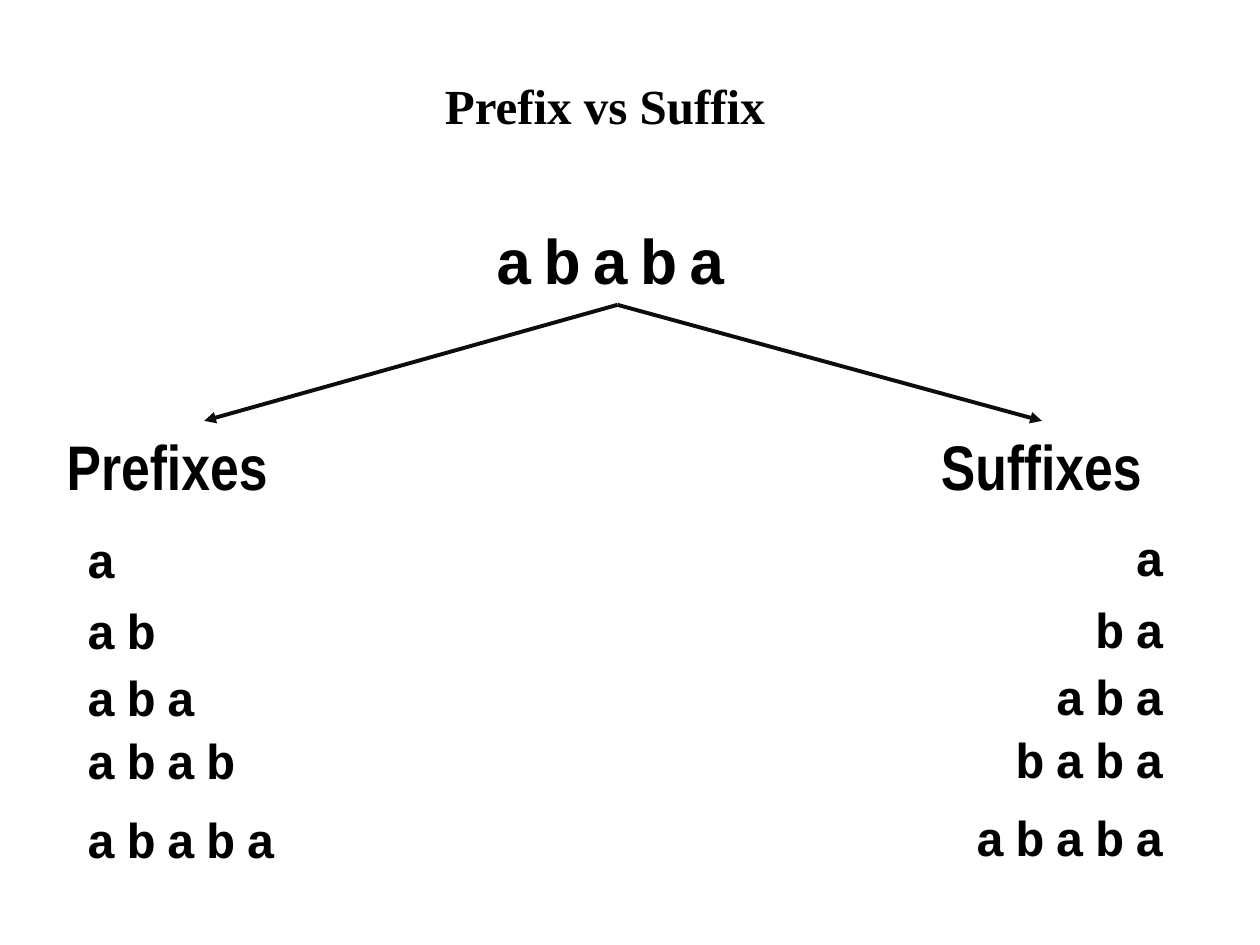
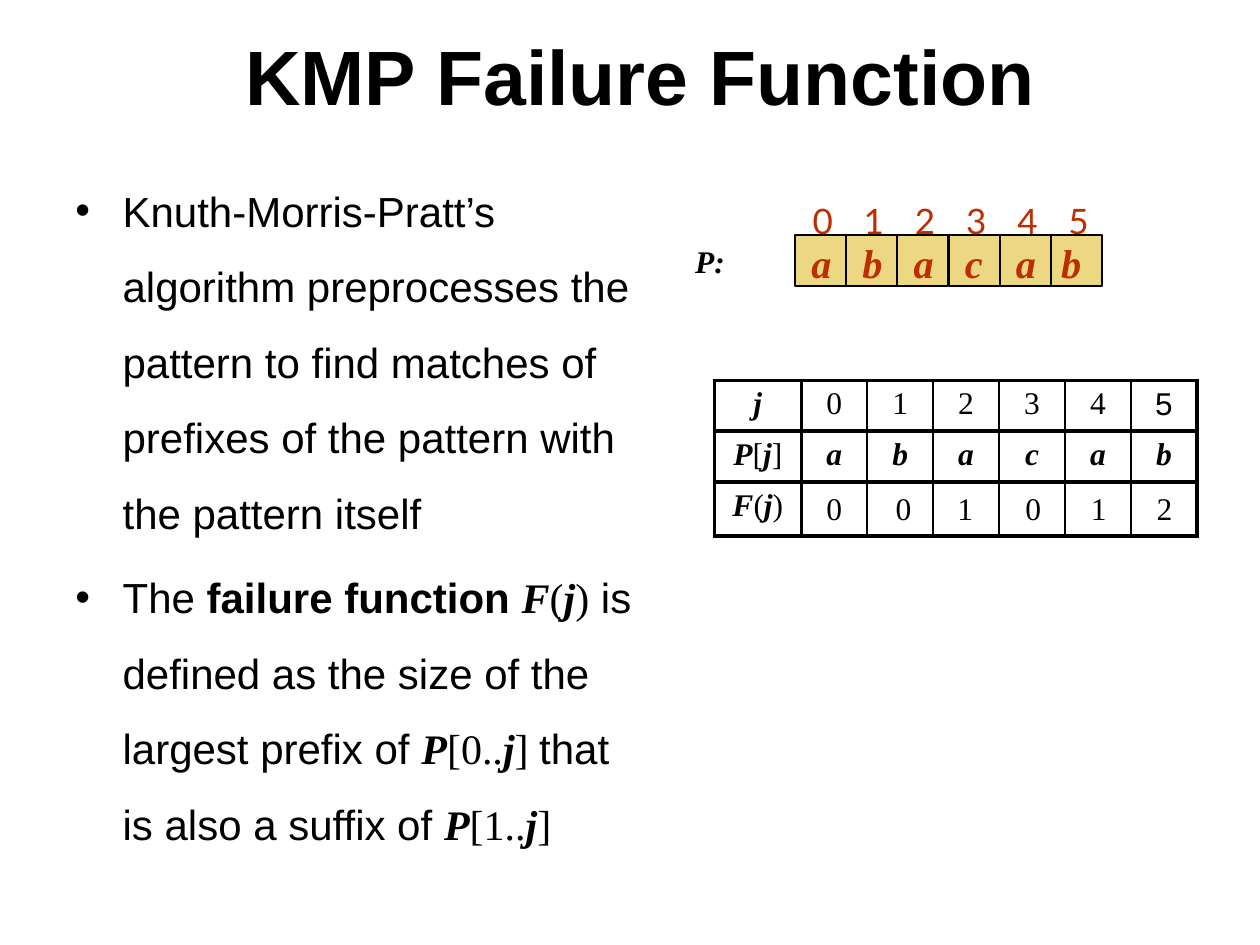
"""Build two slides on prefixes, suffixes and the KMP failure function."""
from lxml import etree
from pptx import Presentation
from pptx.dml.color import RGBColor
from pptx.enum.shapes import MSO_CONNECTOR, MSO_SHAPE
from pptx.enum.text import MSO_ANCHOR, MSO_AUTO_SIZE, PP_ALIGN
from pptx.oxml.ns import qn
from pptx.util import Pt

LEFT, CENTER, RIGHT = PP_ALIGN.LEFT, PP_ALIGN.CENTER, PP_ALIGN.RIGHT
TOP, MIDDLE = MSO_ANCHOR.TOP, MSO_ANCHOR.MIDDLE
GROW, FIXED = MSO_AUTO_SIZE.SHAPE_TO_FIT_TEXT, MSO_AUTO_SIZE.NONE
RECTANGLE, STRAIGHT = MSO_SHAPE.RECTANGLE, MSO_CONNECTOR.STRAIGHT

BLACK = RGBColor(0x00, 0x00, 0x00)
ARROW = RGBColor(0x0D, 0x0D, 0x0D)
RED = RGBColor(0xBE, 0x2D, 0x00)
SAND = RGBColor(0xEC, 0xD8, 0x82)

# (font, bold, italic)
SANS = ("Arial", False, False)
SANS_BOLD = ("Arial", True, False)
NARROW = ("Arial Narrow", True, False)
MONO = ("Courier New", True, False)
SERIF = ("Times New Roman", False, False)
SERIF_BOLD = ("Times New Roman", True, False)
MATH = ("Times New Roman", True, True)
INDEX = ("Lato", False, False)

WORD = "ababa"
SUBSTRING_ROWS = [298.8, 339.8, 378, 414, 459]
PATTERN = "abacab"
FAILURES = "001012"
FAILURE_LEFTS = [465.1, 504.7, 540, 578.9, 616.3, 653.8]

BULLETS = [
    [("Knuth-Morris-Pratt’s algorithm preprocesses the pattern to find matches "
      "of prefixes of the pattern with the pattern itself", SANS)],
    [("The ", SANS), ("failure function ", SANS_BOLD),
     ("F", MATH), ("(", SERIF), ("j", MATH), (")", SERIF),
     (" is defined as the size of the largest prefix of ", SANS),
     ("P", MATH), ("[0..", SERIF), ("j", MATH), ("] ", SERIF),
     ("that is also a suffix of ", SANS),
     ("P", MATH), ("[1..", SERIF), ("j", MATH), ("]", SERIF)],
]
TABLE_ROWS = [
    [[("j", MATH)]] + [[(str(j), SANS if j == 5 else SERIF)] for j in range(6)],
    [[("P", MATH), ("[", SERIF), ("j", MATH), ("]", SERIF)]]
    + [[(letter, MATH)] for letter in PATTERN],
    [[("F", MATH), ("(", SERIF), ("j", MATH), (")", SERIF)]] + [[]] * 6,
]
COLUMN_WIDTHS = [49.7] + [37.7] * 6
ROW_HEIGHTS = [29, 29, 31]
THIN, THICK = 1, 2.25


def write(paragraph, runs, size, color=BLACK, tracking=0):
    for text, (font, bold, italic) in runs:
        run = paragraph.add_run()
        run.text = text
        run.font.name, run.font.size = font, Pt(size)
        run.font.bold, run.font.italic = bold, italic
        run.font.color.rgb = color
        if tracking:
            run._r.get_or_add_rPr().set("spc", str(tracking * 100))


def add_text(slide, box, paragraphs, size, color=BLACK, align=LEFT, before=0,
             tracking=0, wrap=True, inset=True, fit=GROW, anchor=TOP):
    shape = slide.shapes.add_textbox(*map(Pt, box))
    frame = shape.text_frame
    frame.word_wrap, frame.auto_size = wrap, fit
    frame.vertical_anchor = anchor
    if not inset:
        frame.margin_left = frame.margin_right = 0
        frame.margin_top = frame.margin_bottom = 0
    for number, runs in enumerate(paragraphs):
        paragraph = frame.add_paragraph() if number else frame.paragraphs[0]
        paragraph.alignment = align
        paragraph.space_before = Pt(before)
        write(paragraph, runs, size, color, tracking)
    return shape


def add_arrow(slide, source, target):
    arrow = slide.shapes.add_connector(STRAIGHT, 0, 0, 0, 0)
    arrow.begin_connect(source, 2)
    arrow.end_connect(target, 0)
    arrow.line.color.rgb, arrow.line.width = ARROW, Pt(2.25)
    etree.SubElement(arrow.line._get_or_add_ln(), qn("a:tailEnd"), type="triangle")
    etree.SubElement(arrow._element.spPr, qn("a:effectLst"))


def set_borders(cell, widths):
    properties = cell._tc.get_or_add_tcPr()
    for index, (side, width) in enumerate(zip(("lnL", "lnR", "lnT", "lnB"), widths)):
        line = etree.Element(qn(f"a:{side}"), w=str(Pt(width)))
        fill = etree.SubElement(line, qn("a:solidFill"))
        etree.SubElement(fill, qn("a:srgbClr"), val=str(BLACK))
        properties.insert(index, line)


def build_prefix_slide(slide):
    add_text(slide, (31, 39.6, 629.3, 41), [[("Prefix vs Suffix", SERIF_BOLD)]],
             28, align=CENTER, before=3.6)
    word = add_text(slide, (275.8, 123.1, 154.1, 51.1), [[(WORD, MONO)]], 36,
                    before=3.6, tracking=6, fit=FIXED)
    for heading, left, width in (("Prefixes", 31, 171.4), ("Suffixes", 530.6, 129.6)):
        target = add_text(slide, (left, 240.5, width, 51.1), [[(heading, NARROW)]],
                          36, before=3.6)
        add_arrow(slide, word, target)
    for length, top in enumerate(SUBSTRING_ROWS, 1):
        for part, left, lift, align in ((WORD[:length], 42.5, 0, LEFT),
                                        (WORD[-length:], 542.9, 0.8, RIGHT)):
            add_text(slide, (left, top - lift, 129.6, 41), [[(part, MONO)]], 28,
                     align=align, before=3.6, tracking=6)


def add_pattern(slide):
    add_text(slide, (390.2, 134.6, 31.7, 28.8), [[("P:", MATH)]], 18, wrap=False)
    pitch = 29.25
    for index, letter in enumerate(PATTERN):
        left = 454.3 + index * pitch
        square = slide.shapes.add_shape(RECTANGLE, Pt(left), Pt(134.6), Pt(pitch), Pt(28.8))
        square.shadow.inherit = False
        square.fill.solid()
        square.fill.fore_color.rgb = SAND
        square.line.color.rgb, square.line.width = BLACK, Pt(1.13)
        indent = 5.8 if index == len(PATTERN) - 1 else 9.3
        add_text(slide, (left + indent, 136.1, 11.5, 27.4), [[(letter, MATH)]], 23,
                 RED, wrap=False, inset=False)
        add_text(slide, (left + 10, 113.8, 10.8, 23.8), [[(str(index), INDEX)]], 20,
                 RED, wrap=False, inset=False)


def add_failure_table(slide):
    frame = slide.shapes.add_table(
        len(ROW_HEIGHTS), len(COLUMN_WIDTHS), Pt(408.2), Pt(217.4),
        Pt(sum(COLUMN_WIDTHS)), Pt(sum(ROW_HEIGHTS)))
    table = frame.table
    table.first_row = table.horz_banding = False
    for column, width in zip(table.columns, COLUMN_WIDTHS):
        column.width = Pt(width)
    last = len(COLUMN_WIDTHS) - 1
    for r, (height, entries) in enumerate(zip(ROW_HEIGHTS, TABLE_ROWS)):
        table.rows[r].height = Pt(height)
        for c, runs in enumerate(entries):
            cell = table.cell(r, c)
            cell.fill.background()
            paragraph = cell.text_frame.paragraphs[0]
            paragraph.alignment = CENTER
            paragraph.font.size = Pt(18)
            write(paragraph, runs, 18)
            set_borders(cell, (THICK if c < 2 else THIN,
                               THICK if c in (0, last) else THIN, THICK, THICK))
    for value, left in zip(FAILURES, FAILURE_LEFTS):
        add_text(slide, (left, 275.8, 23.8, 28.8), [[(value, SERIF)]], 18, wrap=False)


def build_failure_slide(slide):
    add_text(slide, (48.2, 13, 635.8, 59), [[("KMP Failure Function", SANS_BOLD)]],
             44, align=CENTER, fit=FIXED, anchor=MIDDLE)
    body = add_text(slide, (36, 87.8, 340.6, 418.3), BULLETS, 24, before=4.8, fit=FIXED)
    for paragraph in body.text_frame.paragraphs:
        paragraph.line_spacing = 1.5
        properties = paragraph._p.get_or_add_pPr()
        properties.set("marL", str(Pt(27)))
        properties.set("indent", str(-Pt(27)))
        etree.SubElement(properties, qn("a:buFont"), typeface="Arial")
        etree.SubElement(properties, qn("a:buChar"), char="•")
    add_pattern(slide)
    add_failure_table(slide)


def main():
    deck = Presentation()
    deck.slide_width, deck.slide_height = Pt(720), Pt(540)
    for build in (build_prefix_slide, build_failure_slide):
        build(deck.slides.add_slide(deck.slide_layouts[6]))
    deck.save("out.pptx")


if __name__ == "__main__":
    main()
